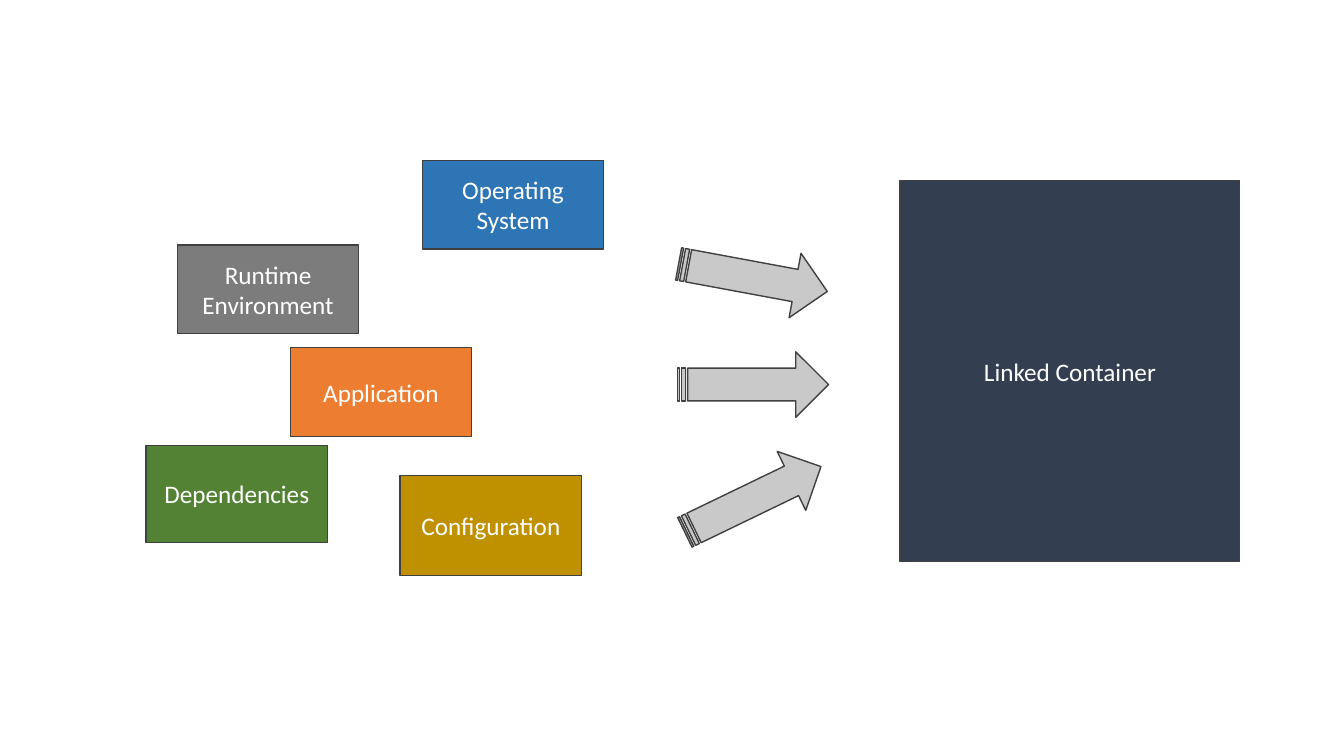
import collections

import pptx
import pptx.dml.color
import pptx.enum.shapes
import pptx.enum.text
import pptx.util

Box = collections.namedtuple("Box", "left top width height")
SHAPES = pptx.enum.shapes.MSO_SHAPE

CELL = pptx.util.Inches(0.1)
SLIDE_WIDTH, SLIDE_HEIGHT = 133.33, 75
PARTS_BOX = Box(14.5, 15.9, 45.4, 41.2)
ARROWS_BOX = Box(67.2, 24.3, 15, 28.5)
CONTAINER_BOX = Box(89.3, 17.9, 33.7, 37.8)
PART_WIDTH = 18
ARROW_HEIGHT = 6.5

PARTS = [
    ("Application", 14.3, 18.6, 8.8, "ED7D31"),
    ("Dependencies", 0, 28.3, 9.6, "548235"),
    ("Configuration", 25.2, 31.3, 9.9, "BF9000"),
    ("Operating System", 27.4, 0, 8.8, "2E75B6"),
    ("Runtime Environment", 3.1, 8.4, 8.8, "7C7C7C"),
]
ARROWS = [(0, 10.5), (10.6, 0), (22, 334.2)]


def colour(value):
    """Turn a hex string into a colour."""
    return pptx.dml.color.RGBColor.from_string(value)


def add_block(page, kind, box, fill, rotation=0):
    """Draw an outlined shape in a box given in grid cells."""
    block = page.shapes.add_shape(kind, *(round(length * CELL) for length in box))
    block.shadow.inherit = False
    block.rotation = rotation
    block.fill.solid()
    block.fill.fore_color.rgb = colour(fill)
    block.line.color.rgb = colour("404040")
    block.line.width = pptx.util.Pt(1)
    return block


def write(block, text, size=18, font="Calibri", ink="FFFFFF"):
    """Write centred text in a shape."""
    frame = block.text_frame
    frame.word_wrap = True
    frame.vertical_anchor = pptx.enum.text.MSO_ANCHOR.MIDDLE
    para = frame.paragraphs[0]
    para.alignment = pptx.enum.text.PP_ALIGN.CENTER
    span = para.add_run()
    span.text = text
    span.font.size = pptx.util.Pt(size)
    span.font.name = font
    span.font.color.rgb = colour(ink)


def add_parts(page, box):
    """Scatter the ingredients within the box."""
    for text, across, down, height, fill in PARTS:
        place = Box(box.left + across, box.top + down, PART_WIDTH, height)
        write(add_block(page, SHAPES.RECTANGLE, place, fill), text)


def add_arrows(page, box):
    """Point the striped arrows from the ingredients to the container."""
    for down, rotation in ARROWS:
        place = Box(box.left, box.top + down, box.width, ARROW_HEIGHT)
        add_block(page, SHAPES.STRIPED_RIGHT_ARROW, place, "C9C9C9", rotation)


def add_container(page, box):
    """Fill the box with the container."""
    write(add_block(page, SHAPES.RECTANGLE, box, "333F50"), "Linked Container")


def main():
    """Build and save the deck."""
    deck = pptx.Presentation()
    deck.slide_width = round(SLIDE_WIDTH * CELL)
    deck.slide_height = SLIDE_HEIGHT * CELL
    page = deck.slides.add_slide(deck.slide_layouts[6])
    add_parts(page, PARTS_BOX)
    add_arrows(page, ARROWS_BOX)
    add_container(page, CONTAINER_BOX)
    deck.save("out.pptx")


if __name__ == "__main__":
    main()
